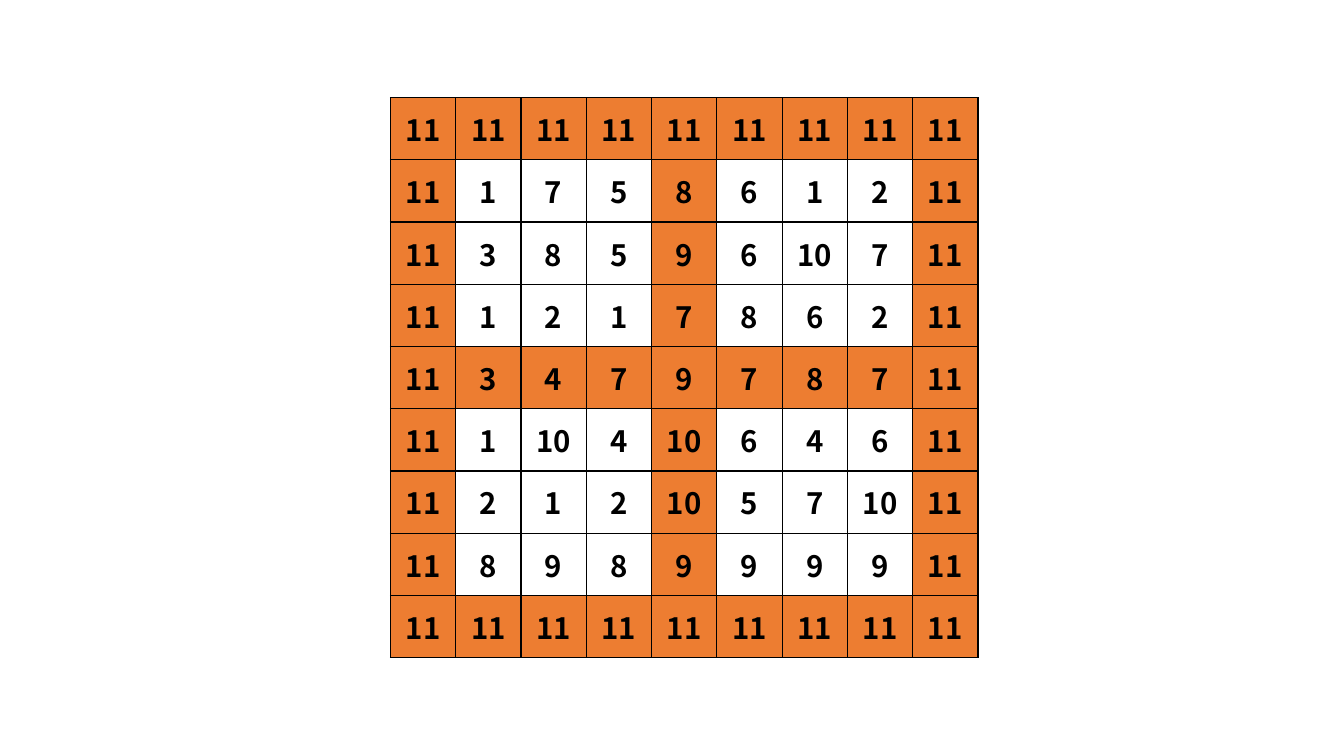
from dataclasses import dataclass

from lxml.etree import SubElement
from pptx import Presentation
from pptx.dml.color import RGBColor
from pptx.enum.text import MSO_ANCHOR, PP_ALIGN
from pptx.oxml.ns import qn
from pptx.table import Table, _Cell
from pptx.util import Cm, Pt

ORANGE = RGBColor(0xED, 0x7D, 0x31)
BLACK = RGBColor(0x00, 0x00, 0x00)
FONT = "Noto Sans CJK SC"

# Numbers inside the frame
INNER = [
    [1, 7, 5, 8, 6, 1, 2],
    [3, 8, 5, 9, 6, 10, 7],
    [1, 2, 1, 7, 8, 6, 2],
    [3, 4, 7, 9, 7, 8, 7],
    [1, 10, 4, 10, 6, 4, 6],
    [2, 1, 2, 10, 5, 7, 10],
    [8, 9, 8, 9, 9, 9, 9],
]
EDGE = 11
SIZE = len(INNER) + 2
BANDS = {0, SIZE // 2, SIZE - 1}  # orange rows and columns


@dataclass(frozen=True)
class Square:
    row: int
    col: int
    value: int

    @property
    def orange(self) -> bool:
        return self.row in BANDS or self.col in BANDS


def squares() -> list[Square]:
    """Wrap the inner numbers in a frame of edge values."""
    frame = [EDGE] * SIZE
    rows = [frame, *([EDGE, *row, EDGE] for row in INNER), frame]
    return [Square(r, c, value)
            for r, row in enumerate(rows) for c, value in enumerate(row)]


def add_border(cell: _Cell) -> None:
    props = cell._tc.get_or_add_tcPr()
    for side in ("lnL", "lnR", "lnT", "lnB"):
        line = SubElement(props, qn(f"a:{side}"), w=str(Pt(1)))
        fill = SubElement(line, qn("a:solidFill"))
        SubElement(fill, qn("a:srgbClr"), val=str(BLACK))


def draw(table: Table, square: Square) -> None:
    cell = table.cell(square.row, square.col)
    add_border(cell)
    if square.orange:
        cell.fill.solid()
        cell.fill.fore_color.rgb = ORANGE
    else:
        cell.fill.background()

    # Text
    cell.vertical_anchor = MSO_ANCHOR.MIDDLE
    cell.margin_left = cell.margin_right = Cm(0.3)
    cell.margin_top = cell.margin_bottom = Cm(0.15)
    cell.text_frame.text = str(square.value)
    para = cell.text_frame.paragraphs[0]
    para.alignment = PP_ALIGN.CENTER
    font = para.runs[0].font
    font.name, font.size, font.bold = FONT, Pt(21), True
    font.color.rgb = BLACK


def main() -> None:
    deck = Presentation()
    deck.slide_width, deck.slide_height = Cm(33.87), Cm(19.05)
    slide = deck.slides.add_slide(deck.slide_layouts[6])

    # Number grid, shared out in equal rows and columns
    table = slide.shapes.add_table(
        SIZE, SIZE, Cm(9.84), Cm(2.46), Cm(14.81), Cm(14.12)).table
    table.first_row = table.horz_banding = False
    for square in squares():
        draw(table, square)

    deck.save("out.pptx")


if __name__ == "__main__":
    main()
